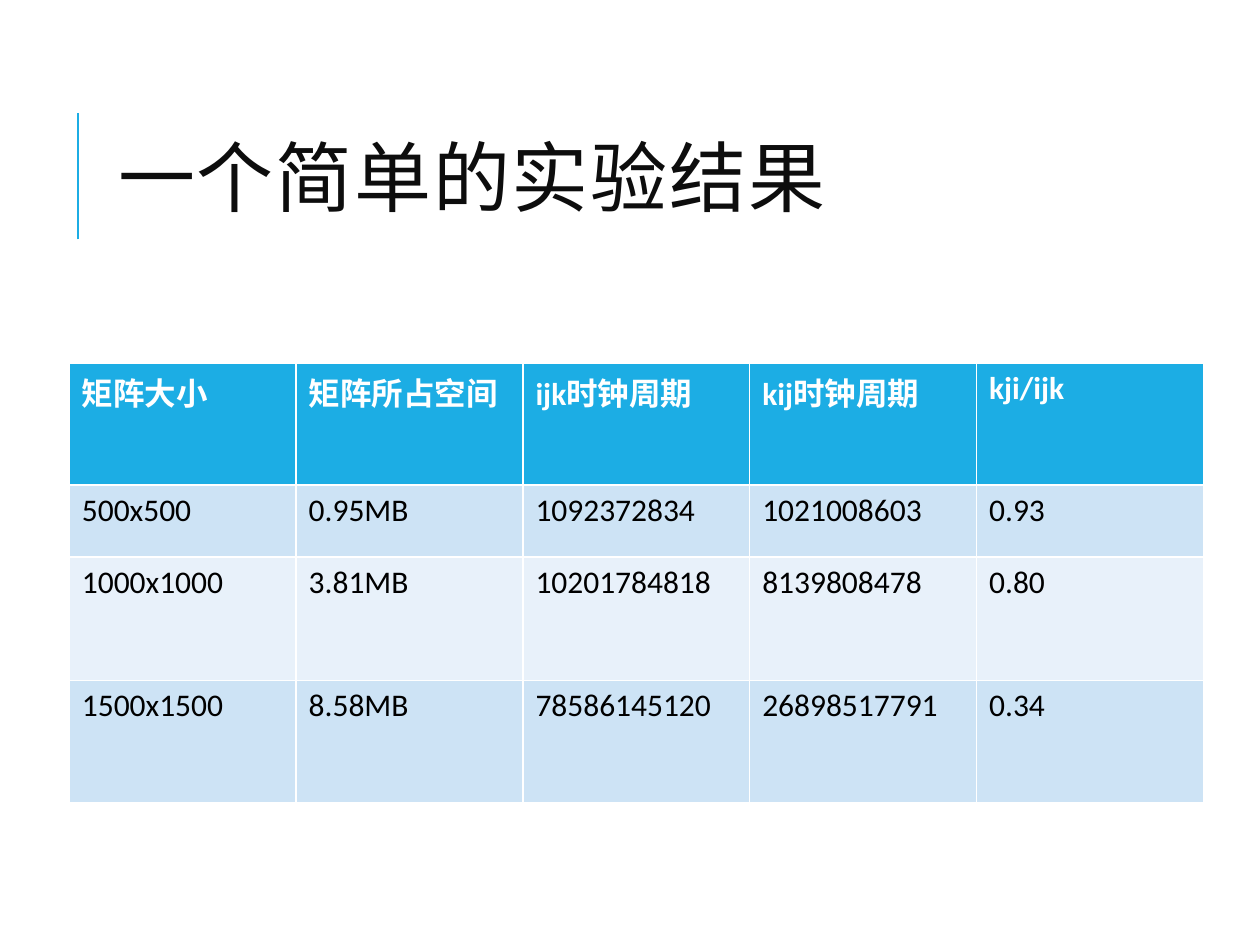
from lxml.etree import SubElement
from pptx import Presentation
from pptx.dml.color import RGBColor
from pptx.enum.shapes import MSO_CONNECTOR
from pptx.enum.text import MSO_ANCHOR
from pptx.oxml.ns import qn
from pptx.util import Inches, Pt


def rgb(value):
    return RGBColor.from_string(value)


prs = Presentation()
prs.slide_width, prs.slide_height = Inches(10), Inches(7.5)
s = prs.slides.add_slide(prs.slide_layouts[6])

# Accent line beside the title
line = s.shapes.add_connector(
    MSO_CONNECTOR.STRAIGHT, Inches(0.62), Inches(1.9), Inches(0.62), Inches(0.9))
line.line.color.rgb = rgb("1CADE4")
line.line.width = Pt(1.5)
SubElement(line._element.spPr, qn("a:effectLst"))

# Title
title = s.shapes.add_textbox(Inches(0.84), Inches(0.64), Inches(7.97), Inches(1.64))
tf = title.text_frame
tf.word_wrap = True
tf.vertical_anchor = MSO_ANCHOR.MIDDLE
p = tf.paragraphs[0]
p.line_spacing = 0.8
r = p.add_run()
r.text = "一个简单的实验结果"
r.font.size = Pt(44)
r.font.name = "Cabin"
r.font.color.rgb = rgb("0D0D0D")
r.font._element.set("spc", "100")

# Results table: the default style supplies the white cell borders
results = [
    ("矩阵大小", "矩阵所占空间", "ijk时钟周期", "kij时钟周期", "kji/ijk"),
    ("500x500", "0.95MB", "1092372834", "1021008603", "0.93"),
    ("1000x1000", "3.81MB", "10201784818", "8139808478", "0.80"),
    ("1500x1500", "8.58MB", "78586145120", "26898517791", "0.34"),
]
row_heights = [0.97, 0.57, 0.98, 0.97]
row_fills = ["1CADE4", "CDE3F5", "E8F1FA", "CDE3F5"]

table = s.shapes.add_table(
    len(results), len(results[0]),
    Inches(0.55), Inches(2.88), Inches(9), Inches(sum(row_heights))).table
for i, (values, height, fill) in enumerate(zip(results, row_heights, row_fills)):
    table.rows[i].height = Inches(height)
    for cell, value in zip(table.rows[i].cells, values):
        cell.fill.solid()
        cell.fill.fore_color.rgb = rgb(fill)
        p = cell.text_frame.paragraphs[0]
        p.text = value
        p.font.size = Pt(18)
        p.font.name = "Calibri"
        p.font.bold = i == 0
        p.font.color.rgb = rgb("FFFFFF" if i == 0 else "000000")

prs.save("out.pptx")
